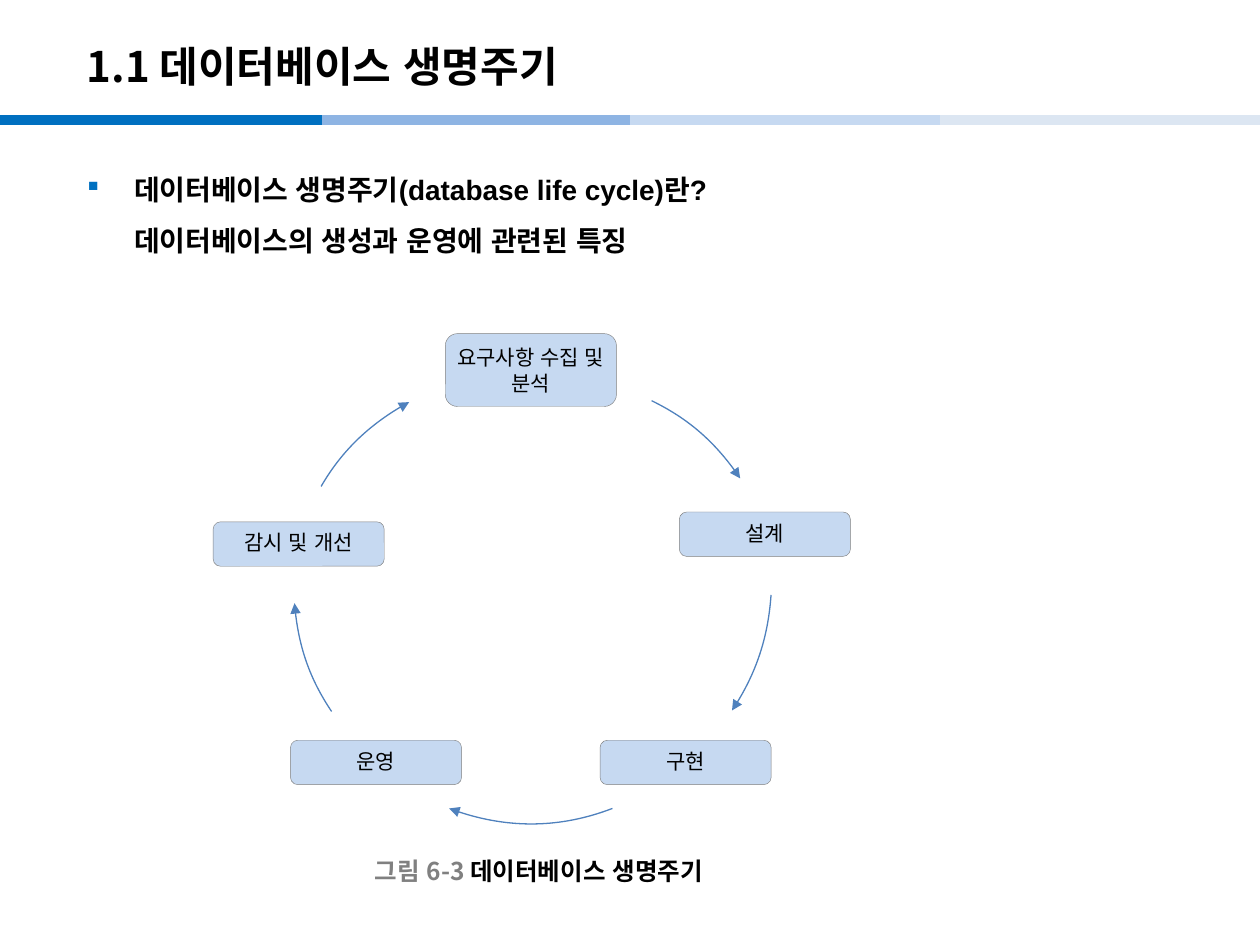
import copy
import pptx
import pptx.util
import pptx.dml.color
import pptx.enum.lang
import pptx.enum.shapes
import pptx.enum.text
import pptx.oxml
import pptx.oxml.ns

Pt = pptx.util.Pt
qn = pptx.oxml.ns.qn
ALIGN = pptx.enum.text.PP_ALIGN
ANCHOR = pptx.enum.text.MSO_ANCHOR
KINDS = pptx.enum.shapes.MSO_SHAPE
NOTO = "Noto Sans CJK KR"
HUES = {"ink": "000000", "gray": "808080", "blue": "0070C0", "mid": "8EB4E3",
        "pale": "C6D9F1", "faint": "DCE6F2", "arrow": "4F81BD"}

TITLE = "1.1 데이터베이스 생명주기"
BODY = "데이터베이스 생명주기(database life cycle)란?\v데이터베이스의 생성과 운영에 관련된 특징"
CAPTION = [("그림 6-3 ", "gray"), ("데이터베이스 생명주기", "ink")]

# start, end, hue
BARS = [(0, 184.3, "blue"), (184.3, 368.6, "mid"),
        (360, 544.3, "pale"), (537, 721.3, "faint")]

# text, left, top, height, line spacing, font
STEPS = [
    ("요구사항 수집 및 분석", 254.5, 190.7, 41.6, 1, "Arial"),
    ("설계", 388.2, 292.6, 25.4, 0.9, NOTO),
    ("구현", 342.9, 423, 25.4, 0.9, NOTO),
    ("운영", 166, 423, 25.4, 0.9, NOTO),
    ("감시 및 개선", 121.8, 298.2, 25.4, 0.9, NOTO),
]
STEP_W = 97.8

# corner of the square around the ring; start, two control points, end
RING = 253.4
ARCS = [
    ((190.1, 216), [(372.4, 229), (393, 239), (410, 254), (423, 273.4)]),
    ((187.2, 207.4), [(440.6, 340), (439, 363.5), (431.5, 386.5), (418.3, 406)]),
    ((176.4, 217.4), [(350, 462), (320, 473.5), (287, 473.5), (256.7, 462)]),
    ((167.8, 209.5), [(189.5, 406.6), (177, 388), (170, 367), (168.3, 344.7)]),
    ((166.3, 215.3), [(183.5, 278), (195, 258), (213, 241), (233.8, 229.8)]),
]


def hue(name):
    return pptx.dml.color.RGBColor.from_string(HUES[name])


def write(box, text, size, font=NOTO, bold=False, align=ALIGN.LEFT,
          anchor=ANCHOR.MIDDLE, gap=1, inset=None, mark=None):
    """Fill a shape with one paragraph; text is a string or (text, hue) pairs."""
    frame = box.text_frame
    frame.word_wrap = True
    frame.vertical_anchor = anchor
    if inset is not None:
        frame.margin_left = frame.margin_right = Pt(inset)
        frame.margin_top = frame.margin_bottom = Pt(inset)
    para = frame.paragraphs[0]
    if mark:
        props = para._p.get_or_add_pPr()
        props.set("marL", str(Pt(27)))
        props.set("indent", str(-Pt(27)))
        tint = pptx.oxml.ns.nsdecls("a")
        for bit in (f'<a:buClr {tint}><a:srgbClr val="{HUES["blue"]}"/></a:buClr>',
                    f'<a:buFont {tint} typeface="Wingdings" charset="2"/>',
                    f'<a:buChar {tint} char="{mark}"/>'):
            props.append(pptx.oxml.parse_xml(bit))
    para.alignment = align
    para.line_spacing = gap
    for part, ink in ([(text, "ink")] if isinstance(text, str) else text):
        for i, line in enumerate(part.split("\v")):
            if i:
                para.add_line_break()
            run = para.add_run()
            run.text = line
            run.font.size = Pt(size)
            run.font.bold = bold
            run.font.name = font
            run.font.language_id = pptx.enum.lang.MSO_LANGUAGE_ID.KOREAN
            run.font.color.rgb = hue(ink)
            props = run._r.rPr
            props.set("kern", "0")
            asian = props.makeelement(qn("a:ea"), {"typeface": NOTO})
            props.find(qn("a:latin")).addnext(asian)
    for stop in para._p.findall(qn("a:br")):
        stop.append(copy.deepcopy(para.runs[0]._r.rPr))


def add_text(slide, left, top, width, height, text, size, **style):
    box = slide.shapes.add_textbox(Pt(left), Pt(top), Pt(width), Pt(height))
    write(box, text, size, **style)


def add_bar(slide, start, end, ink):
    bar = slide.shapes.add_connector(
        pptx.enum.shapes.MSO_CONNECTOR.STRAIGHT, Pt(start), Pt(68.5), Pt(end), Pt(68.5))
    bar.line.color.rgb = hue(ink)
    bar.line.width = Pt(6)
    props = bar._element.spPr
    props.append(props.makeelement(qn("a:effectLst"), {}))


def add_step(slide, text, left, top, height, gap, font):
    step = slide.shapes.add_shape(
        KINDS.ROUNDED_RECTANGLE, Pt(left), Pt(top), Pt(STEP_W), Pt(height))
    step.shadow.inherit = False
    step.fill.solid()
    step.fill.fore_color.rgb = hue("pale")
    step.line.color.rgb = hue("gray")
    step.line.width = Pt(0.25)
    write(step, text, 12, font=font, align=ALIGN.CENTER, gap=gap, inset=4)


def add_arc(slide, corner, points):
    """Draw one cubic curve with an arrowhead, framed by the ring's square."""
    left, top = corner
    start, *rest = [(Pt(x), Pt(y)) for x, y in points]
    pen = slide.shapes.build_freeform(*start)
    pen.add_line_segments(rest, close=False)
    arc = pen.convert_to_shape()
    arc.left, arc.top, arc.width, arc.height = map(Pt, (left, top, RING, RING))
    track = next(arc._element.iter(qn("a:path")))
    track.set("w", str(Pt(RING)))
    track.set("h", str(Pt(RING)))
    for spot, (x, y) in zip(track.iter(qn("a:pt")), points):
        spot.set("x", str(Pt(x - left)))
        spot.set("y", str(Pt(y - top)))
    curve = track.makeelement(qn("a:cubicBezTo"), {})
    for leg in track.findall(qn("a:lnTo")):
        curve.append(leg[0])
        track.remove(leg)
    track.append(curve)
    arc.shadow.inherit = False
    arc.fill.background()
    arc.line.color.rgb = hue("arrow")
    arc.line.width = Pt(0.75)
    line = arc._element.spPr.find(qn("a:ln"))
    line.append(line.makeelement(qn("a:tailEnd"), {"type": "triangle"}))


def main():
    deck = pptx.Presentation()
    deck.slide_width, deck.slide_height = Pt(720), Pt(540)
    slide = deck.slides.add_slide(deck.slide_layouts[6])
    for bar in BARS:
        add_bar(slide, *bar)
    add_text(slide, 42.5, 15.8, 595.5, 43.2, TITLE, 24, bold=True)
    add_text(slide, 42.5, 85.7, 635, 430.6, BODY, 16, font="Arial", bold=True,
             anchor=ANCHOR.TOP, gap=1.5, mark="§")
    add_text(slide, 206.9, 486.5, 215, 22.3, CAPTION, 14, bold=True)
    for step, arc in zip(STEPS, ARCS):
        add_step(slide, *step)
        add_arc(slide, *arc)
    deck.save("out.pptx")


if __name__ == "__main__":
    main()
